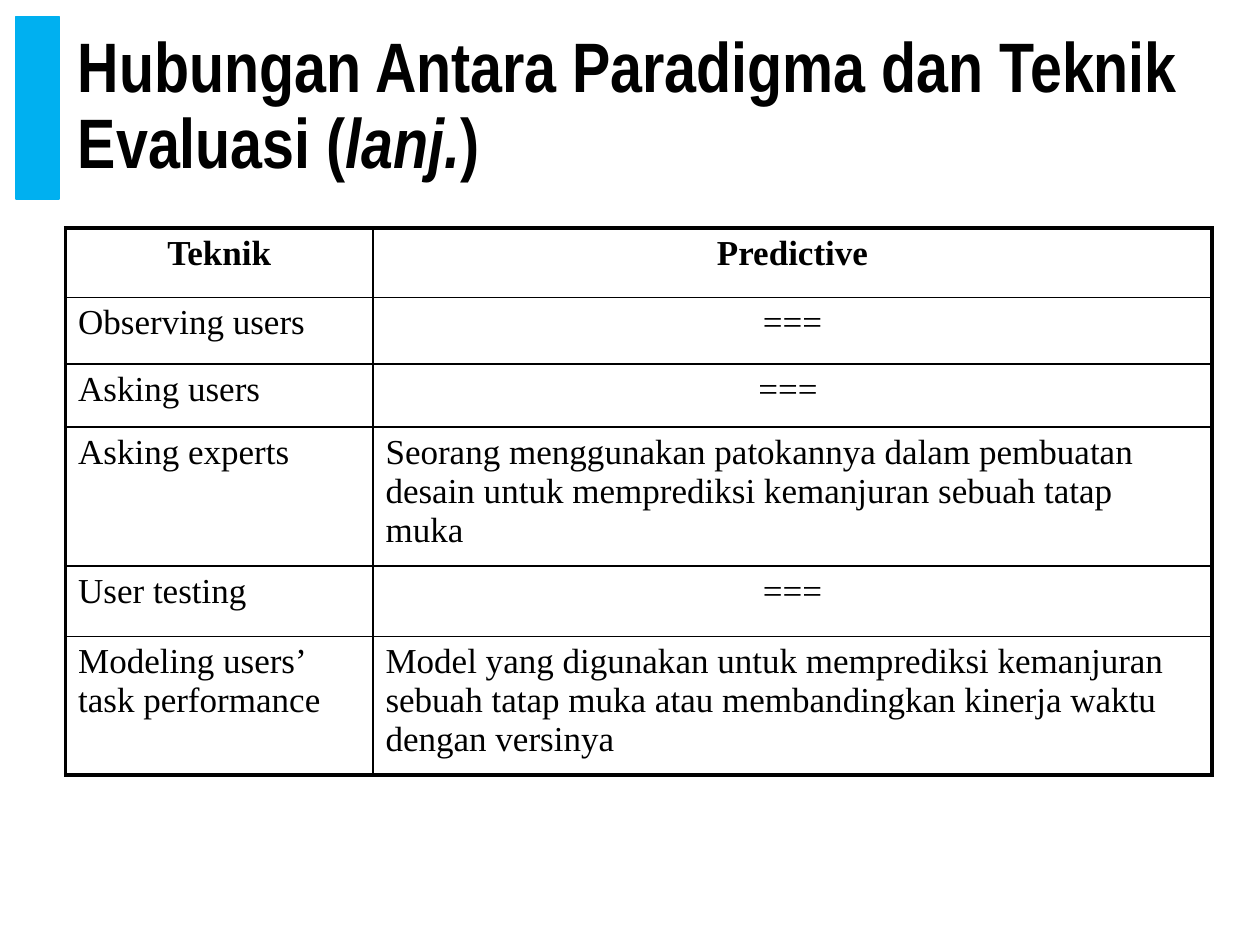
from typing import NamedTuple

from lxml.etree import SubElement
from pptx import Presentation
from pptx.dml.color import RGBColor
from pptx.enum.shapes import MSO_SHAPE
from pptx.enum.text import MSO_ANCHOR, PP_ALIGN
from pptx.oxml.ns import qn
from pptx.util import Inches, Pt

BLACK = "000000"
ACCENT = "00B0F0"
THIN, THICK = 1, 2.25
CONTENT_LEFT, CONTENT_WIDTH = 0.52, 9.1
COLUMN_WIDTHS = (2.44, 6.66)


class TechniqueRow(NamedTuple):
    technique: str
    predictive: str
    height: float
    header: bool = False


ROWS = [
    TechniqueRow("Teknik", "Predictive", 0.55, header=True),
    TechniqueRow("Observing users", "===", 0.53),
    TechniqueRow("Asking users", "=== ", 0.5),
    TechniqueRow("Asking experts", "Seorang menggunakan patokannya dalam pembuatan desain "
                 "untuk memprediksi kemanjuran sebuah tatap muka", 1.1),
    TechniqueRow("User testing", "===", 0.56),
    TechniqueRow("Modeling users’ task performance", "Model yang digunakan untuk memprediksi "
                 "kemanjuran sebuah tatap muka atau membandingkan kinerja waktu dengan versinya", 1.1),
]


def color(value: str) -> RGBColor:
    return RGBColor.from_string(value)


def add_run(paragraph, text: str, size: float, font_name: str,
            bold: bool = False, italic: bool = False) -> None:
    run = paragraph.add_run()
    run.text = text
    run.font.size = Pt(size)
    run.font.name = font_name
    run.font.bold = bold
    run.font.italic = italic
    run.font.color.rgb = color(BLACK)


def add_accent_bar(slide) -> None:
    bar = slide.shapes.add_shape(MSO_SHAPE.RECTANGLE, Inches(0.13), Inches(0.13),
                                 Inches(0.34), Inches(1.45))
    bar.shadow.inherit = False
    bar.fill.solid()
    bar.fill.fore_color.rgb = color(ACCENT)
    bar.line.color.rgb = color(ACCENT)
    bar.line.width = Pt(1)


def add_title(slide) -> None:
    box = slide.shapes.add_textbox(Inches(CONTENT_LEFT), Inches(0.13),
                                   Inches(CONTENT_WIDTH), Inches(1.45))
    frame = box.text_frame
    frame.word_wrap = True
    frame.vertical_anchor = MSO_ANCHOR.MIDDLE
    paragraph = frame.paragraphs[0]
    paragraph.line_spacing = 0.9
    for text, italic in (("Hubungan Antara Paradigma dan Teknik Evaluasi (", False),
                         ("lanj.", True), (")", False)):
        add_run(paragraph, text, 40, "Arial Narrow", bold=True, italic=italic)


def set_borders(cell, widths: dict[str, float]) -> None:
    properties = cell._tc.get_or_add_tcPr()
    for position, (side, width) in enumerate(widths.items()):
        line = SubElement(properties, qn(f"a:ln{side}"), w=str(Pt(width)))
        fill = SubElement(line, qn("a:solidFill"))
        SubElement(fill, qn("a:srgbClr"), val=BLACK)
        properties.insert(position, line)  # borders come before the cell fill


def add_technique_table(slide, rows: list[TechniqueRow]) -> None:
    table = slide.shapes.add_table(
        len(rows), len(COLUMN_WIDTHS), Inches(CONTENT_LEFT), Inches(1.81),
        Inches(CONTENT_WIDTH), Inches(sum(row.height for row in rows))).table
    table.first_row = False
    table.horz_banding = False
    for column, width in zip(table.columns, COLUMN_WIDTHS):
        column.width = Inches(width)

    last_row, last_column = len(rows) - 1, len(COLUMN_WIDTHS) - 1
    for row_index, row in enumerate(rows):
        table.rows[row_index].height = Inches(row.height)
        for column_index, text in enumerate((row.technique, row.predictive)):
            cell = table.cell(row_index, column_index)
            cell.fill.background()
            paragraph = cell.text_frame.paragraphs[0]
            centered = row.header or text.startswith("===")
            paragraph.alignment = PP_ALIGN.CENTER if centered else PP_ALIGN.LEFT
            add_run(paragraph, text, 20, "Times New Roman", bold=row.header)
            # The outer frame is thick, the inner grid thin
            set_borders(cell, {
                "L": THICK if column_index == 0 else THIN,
                "R": THICK if column_index == last_column else THIN,
                "T": THICK if row_index == 0 else THIN,
                "B": THICK if row_index == last_row else THIN,
            })


def main() -> None:
    presentation = Presentation()
    presentation.slide_width = Inches(10)
    presentation.slide_height = Inches(7.5)
    slide = presentation.slides.add_slide(presentation.slide_layouts[6])

    # Heading
    add_accent_bar(slide)
    add_title(slide)

    # Techniques and their predictive use
    add_technique_table(slide, ROWS)

    presentation.save("out.pptx")


if __name__ == "__main__":
    main()
